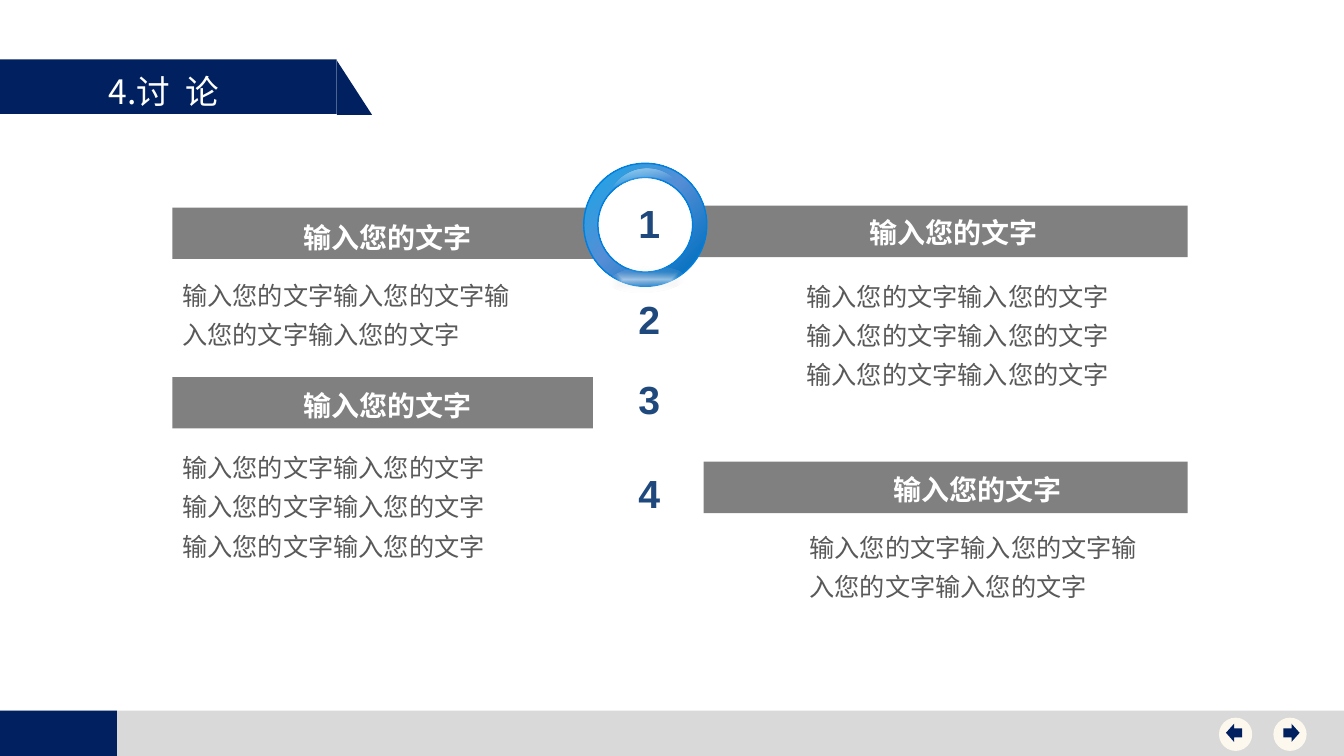
from lxml import etree
from pptx import Presentation
from pptx.dml.color import RGBColor
from pptx.enum.shapes import MSO_SHAPE as Geo
from pptx.enum.text import PP_ALIGN as Align
from pptx.oxml.ns import qn
from pptx.util import Inches, Pt

NAVY, GREY, CREAM = "002060", "808080", "FCF8ED"
SANS, LATIN = "Noto Sans CJK SC", "Arial"
HEAD = "输入您的文字"
TITLE = [("4.讨", 0), (" ", 5.4), ("论", 0)]  # text, extra spacing in points

# left, top, width
BARS = [(6.9, 2.04, 4.88), (6.98, 4.58, 4.8), (1.71, 3.74, 4.17), (1.71, 2.06, 4.21)]
BAR_H = 0.51
HEADS = [(2.69, 2.11), (2.69, 3.77), (8.3, 2.06), (8.54, 4.61)]
# left, top, width, height, times the phrase is repeated
BODIES = [
    (1.71, 2.64, 3.48, 0.89, 4),
    (1.71, 4.35, 3.43, 1.28, 6),
    (7.9, 2.65, 3.43, 1.28, 6),
    (7.93, 5.14, 3.48, 0.89, 4),
]
STEPS = [1.93, 2.88, 3.67, 4.61]
BUTTONS = [(12.63, 12.73, Geo.RIGHT_ARROW), (12.09, 12.16, Geo.LEFT_ARROW)]

# colour stops: position, colour, opacity (all in percent)
RING = [(0, "00B0F0", 100), (47, "558ED5", 100), (82, "0070C0", 100)]
GLOW = [(0, "FFFFFF", 55), (50, "D7D7D7", 12), (100, "FFFFFF", 0)]
SHINE = [(0, "FFFFFF", 0), (16, "FFFFFF", 51), (30, "FFFFFF", 0)]

prs = Presentation()
prs.slide_width, prs.slide_height = Inches(13.33), Inches(7.5)
slide = prs.slides.add_slide(prs.slide_layouts[6])


def rgb(code):
    return RGBColor.from_string(code)


def draw(geo, x, y, w, h, fill=None, turn=0):
    item = slide.shapes.add_shape(geo, Inches(x), Inches(y), Inches(w), Inches(h))
    item.shadow.inherit = False
    item.line.fill.background()
    item.rotation = turn
    if fill:
        item.fill.solid()
        item.fill.fore_color.rgb = rgb(fill)
    return item


def blend(item, stops, kind=None, rect=None):
    """Fill with a gradient: a path kind with its centre rect, or 45 degrees."""
    item.fill.gradient()
    grad = item._element.spPr.find(qn("a:gradFill"))
    for child in list(grad):
        grad.remove(child)
    grad.set("rotWithShape", "1")
    group = etree.SubElement(grad, qn("a:gsLst"))
    for pos, code, alpha in stops:
        stop = etree.SubElement(group, qn("a:gs"), pos=str(pos * 1000))
        tone = etree.SubElement(stop, qn("a:srgbClr"), val=code)
        if alpha < 100:
            etree.SubElement(tone, qn("a:alpha"), val=str(alpha * 1000))
    if kind:
        path = etree.SubElement(grad, qn("a:path"), path=kind)
        sides = {side: str(v * 1000) for side, v in zip("ltrb", rect)}
        etree.SubElement(path, qn("a:fillToRect"), **sides)
    else:
        etree.SubElement(grad, qn("a:lin"), ang="2700000", scaled="0")


def write(runs, x, y, w, h, size, color, face=SANS, bold=False, align=Align.LEFT, lead=1.0):
    """Add a text box; runs are pairs of text and extra spacing in points."""
    box = slide.shapes.add_textbox(Inches(x), Inches(y), Inches(w), Inches(h))
    box.text_frame.word_wrap = True
    para = box.text_frame.paragraphs[0]
    para.alignment, para.line_spacing = align, lead
    for text, gap in runs:
        run = para.add_run()
        run.text = text
        font = run.font
        font.size, font.bold, font.name = Pt(size), bold, face
        font.color.rgb = rgb(color)
        props = run._r.get_or_add_rPr()
        etree.SubElement(props, qn("a:ea"), typeface=face)
        if gap:
            props.set("spc", str(round(gap * 100)))


# Footer and title
draw(Geo.RECTANGLE, 0, 7.05, 13.33, 0.45, "D9D9D9")
draw(Geo.RECTANGLE, 0, 7.05, 1.16, 0.45, NAVY)
draw(Geo.RECTANGLE, 0, 0.59, 3.34, 0.54, NAVY)
draw(Geo.RIGHT_TRIANGLE, 3.34, 0.6, 0.35, 0.54, NAVY)
write(TITLE, 0.98, 0.65, 2.7, 0.5, 24, "FFFFFF")
for disc, arrow, geo in BUTTONS:
    draw(Geo.OVAL, disc, 7.12, 0.33, 0.33, CREAM)
    draw(geo, arrow, 7.18, 0.16, 0.18, NAVY)

for x, y, w in BARS:
    draw(Geo.RECTANGLE, x, y, w, BAR_H, GREY)

# Glossy ring
ring = draw(Geo.DONUT, 5.79, 1.62, 1.22, 1.22, turn=21.1)
ring.adjustments[0] = 0.115
blend(ring, RING, "circle", (0, 0, 100, 100))
ring.line.color.rgb = rgb("007FDE")
ring.line.width = Pt(1)
blend(draw(Geo.OVAL, 6.05, 2.65, 0.74, 0.25, turn=356.5), GLOW, "shape", (50, 50, 50, 50))
blend(draw(Geo.OVAL, 6.02, 1.67, 0.8, 0.8, turn=36.3), SHINE)

# Texts
for num, y in enumerate(STEPS, 1):
    write([(str(num), 0)], 6.2, y, 0.48, 0.57, 28, "1F497D", LATIN, True, Align.CENTER)
for x, y in HEADS:
    write([(HEAD, 0)], x, y, 2.31, 0.47, 20, "FFFFFF", SANS, True, Align.CENTER, 1.1)
for x, y, w, h, times in BODIES:
    write([(HEAD * times, 0)], x, y, w, h, 18, "595959", lead=1.3)

prs.save("out.pptx")
